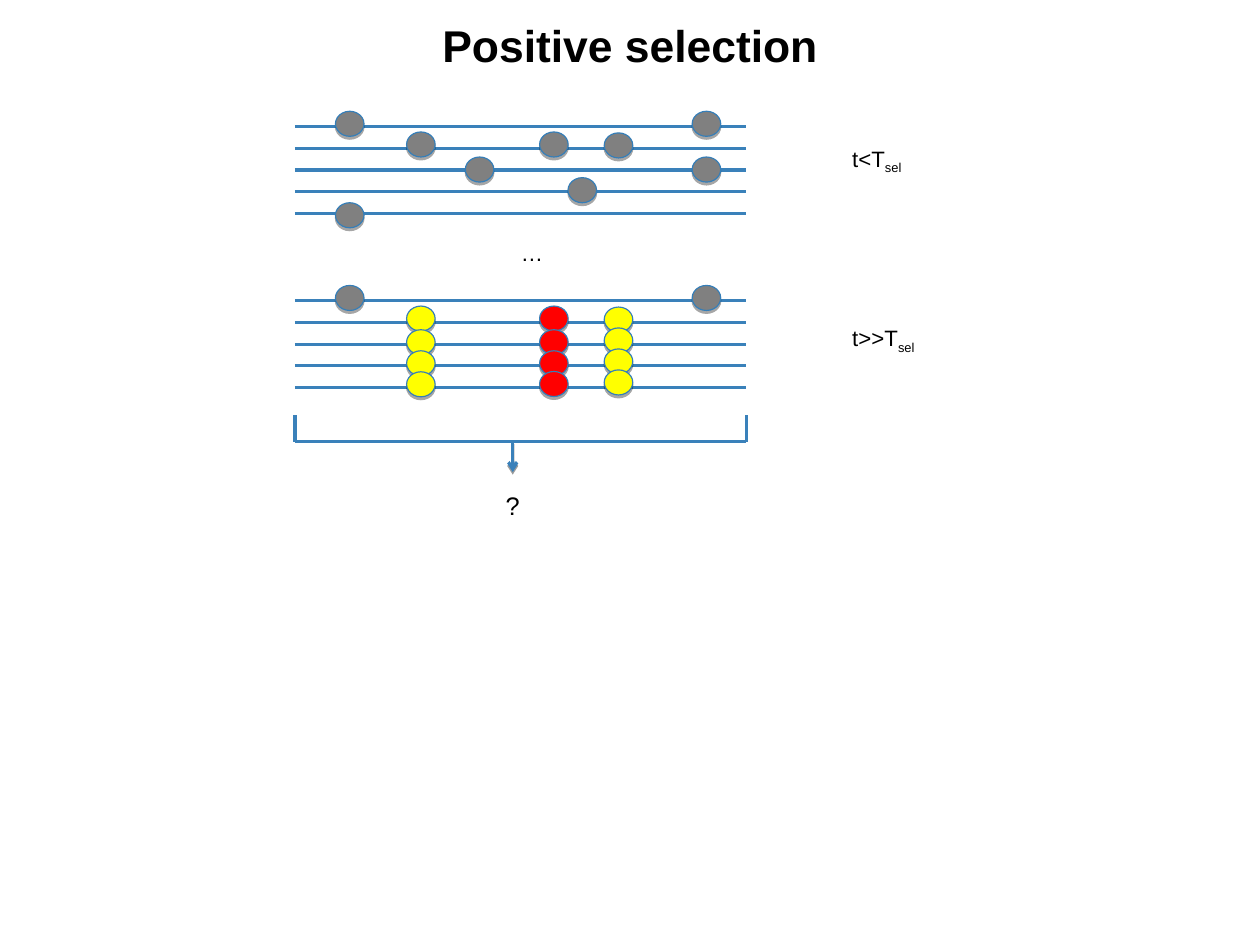
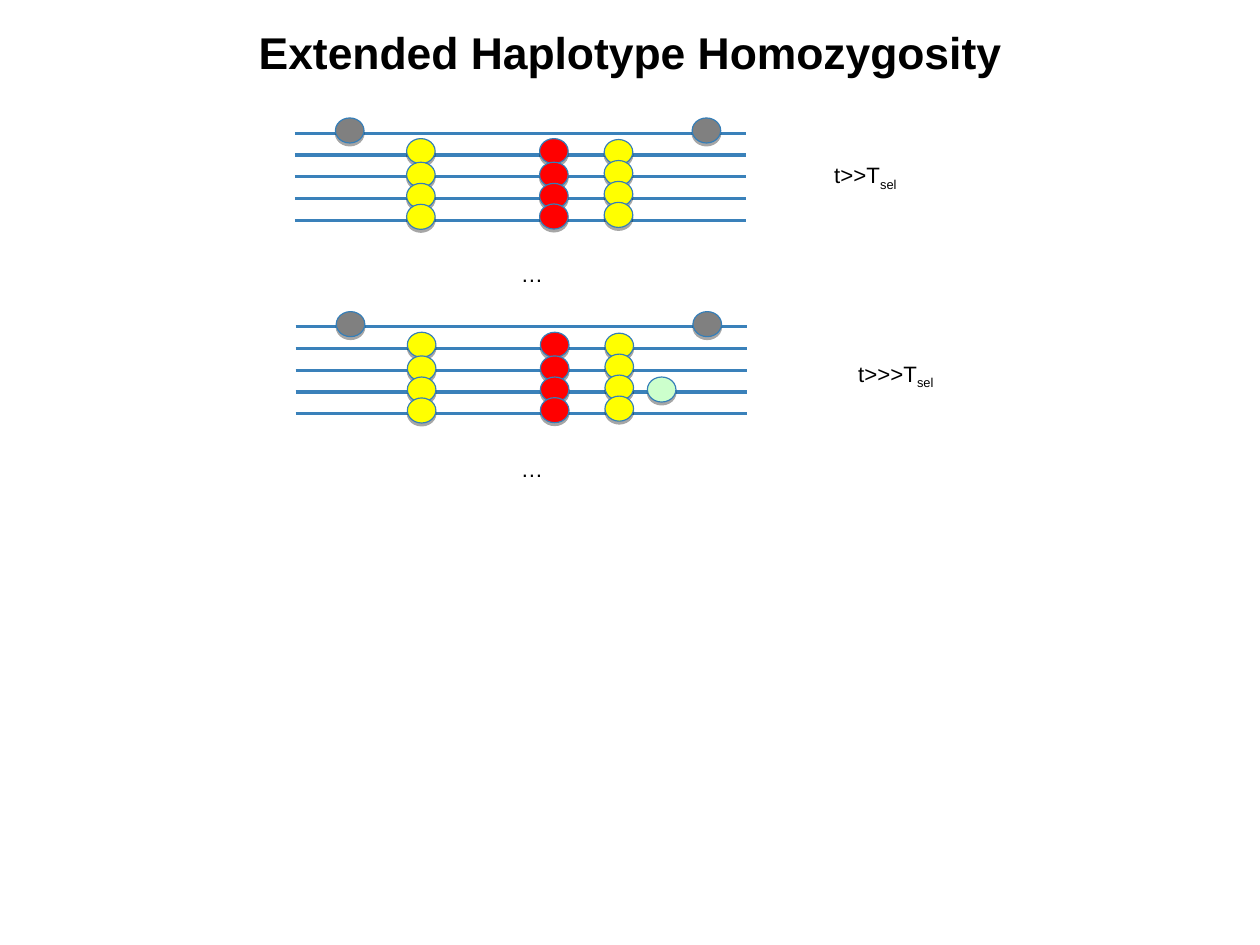
from lxml.etree import SubElement as Sub
from pptx import Presentation
from pptx.dml.color import RGBColor
from pptx.enum.shapes import MSO_CONNECTOR as Link, MSO_SHAPE as Kind
from pptx.enum.text import MSO_ANCHOR as Anchor, MSO_AUTO_SIZE as Auto, PP_ALIGN as Align
from pptx.oxml.ns import qn
from pptx.util import Pt

WIDE, HIGH = 793.7, 595.28
FONT = "Arial"
BLACK, BLUE, EDGE = "000000", "3A81BA", "357EB8"
GRAY, YELLOW, RED, GREEN = "808080", "FFFF00", "FF0000", "CCFFCC"
LEFT, SPAN, PITCH, ROWS = 185.8, 284.4, 13.7, 5
DOT = (18, 15.8)

BEFORE = [
    (25.5, GRAY, [-9.6, 48]),
    (70.3, GRAY, [3.4]),
    (107.3, GRAY, [19.2]),
    (154.1, GRAY, [3.4]),
    (172, GRAY, [32.2]),
    (194.8, GRAY, [4]),
    (250.2, GRAY, [-9.6, 19.2]),
]
SWEPT = [
    (25.5, GRAY, [-9.6]),
    (250.2, GRAY, [-9.6]),
    (70.3, YELLOW, [3.4, 18.3, 31.6, 44.8]),
    (154.1, RED, [3.4, 18.3, 31.6, 44.6]),
    (194.8, YELLOW, [4, 17.2, 30.4, 43.6]),
]
LATER = SWEPT + [(221.5, GREEN, [31.6])]

SLIDES = [
    {
        "title": ("Positive selection", 1.8),
        "sets": [(LEFT, 79.7, BEFORE), (LEFT, 189.4, SWEPT)],
        "times": [("t<T", 529.7, 87.8), ("t>>T", 529.7, 200.9)],
        "marks": [("…", 321.1, 146.9, 28, 14), ("?", 311.4, 305.3, 23, 16)],
        "bracket": True,
    },
    {
        "title": ("Extended Haplotype Homozygosity", 6.2),
        "sets": [(LEFT, 83.9, SWEPT), (LEFT + 0.5, 205.9, LATER)],
        "times": [("t>>T", 518.4, 98.3), ("t>>>T", 533.5, 223.2)],
        "marks": [("…", 321.1, 160.3, 28, 14), ("…", 321.1, 283.4, 28, 14)],
        "bracket": False,
    },
]


def color(code):
    return RGBColor.from_string(code)


def shade(item, alpha=0, drop=0):
    fx = Sub(item._element.spPr, qn("a:effectLst"))
    if alpha:
        cast = Sub(fx, qn("a:outerShdw"), blurRad="0", dist=str(Pt(drop)),
                   dir="5400000", rotWithShape="0")
        tone = Sub(cast, qn("a:srgbClr"), val=BLACK)
        Sub(tone, qn("a:alpha"), val=str(alpha * 1000))


def write(slide, text, x, y, w, h, size=14, sub="", bold=False, align=Align.LEFT,
          anchor=Anchor.TOP, pad=3.6, wrap=True, auto=Auto.SHAPE_TO_FIT_TEXT):
    frame = slide.shapes.add_textbox(Pt(x), Pt(y), Pt(w), Pt(h)).text_frame
    frame.word_wrap, frame.auto_size, frame.vertical_anchor = wrap, auto, anchor
    frame.margin_left = frame.margin_right = Pt(7.2)
    frame.margin_top = frame.margin_bottom = Pt(pad)
    par = frame.paragraphs[0]
    par.alignment = align
    for part, base in ((text, 0), (sub, -25000)):
        if part:
            run = par.add_run()
            run.text = part
            font = run.font
            font.name, font.size, font.bold = FONT, Pt(size), bold
            font.color.rgb = color(BLACK)
            if base:
                run._r.get_or_add_rPr().set("baseline", str(base))


def rule(shapes, x1, y1, x2, y2, head=False):
    line = shapes.add_connector(Link.STRAIGHT, Pt(x1), Pt(y1), Pt(x2), Pt(y2))
    line.line.color.rgb = color(BLUE)
    line.line.width = Pt(2)
    if head:
        Sub(line.line._get_or_add_ln(), qn("a:tailEnd"), type="arrow")
        shade(line, 38, 1.6)
    else:
        shade(line)


def spot(shapes, x, y, fill):
    dot = shapes.add_shape(Kind.OVAL, Pt(x), Pt(y), Pt(DOT[0]), Pt(DOT[1]))
    dot.fill.solid()
    dot.fill.fore_color.rgb = color(fill)
    dot.line.color.rgb = color(EDGE)
    dot.line.width = Pt(0.75)
    shade(dot, 35, 1.8)


def strands(slide, left, top, sites):
    shapes = slide.shapes.add_group_shape().shapes
    for row in range(ROWS):
        y = top + row * PITCH
        rule(shapes, left, y, left + SPAN, y)
    for x, fill, drops in sites:
        for drop in drops:
            spot(shapes, left + x, top + drop, fill)


def bracket(slide, top=261.6, base=278, mid=323):
    right = LEFT + SPAN
    rule(slide.shapes, LEFT, base, right, base)
    for x in (LEFT, right):
        rule(slide.shapes, x, top, x, base + 0.5)
    rule(slide.shapes, mid, base, mid, 297.4, head=True)


def main():
    deck = Presentation()
    deck.slide_width, deck.slide_height = Pt(WIDE), Pt(HIGH)
    for page in SLIDES:
        slide = deck.slides.add_slide(deck.slide_layouts[6])
        title, top = page["title"]
        write(slide, title, 39.6, top, 714.4, 52.6, size=28, bold=True, pad=7.2,
              align=Align.CENTER, anchor=Anchor.MIDDLE, auto=Auto.NONE)
        for left, top, sites in page["sets"]:
            strands(slide, left, top, sites)
        for text, x, y in page["times"]:
            write(slide, text, x, y, 85.7, 25.9, sub="sel")
        if page["bracket"]:
            bracket(slide)
        for text, x, y, w, size in page["marks"]:
            write(slide, text, x, y, w, 24, size=size, wrap=False)
    deck.save("out.pptx")


if __name__ == "__main__":
    main()
